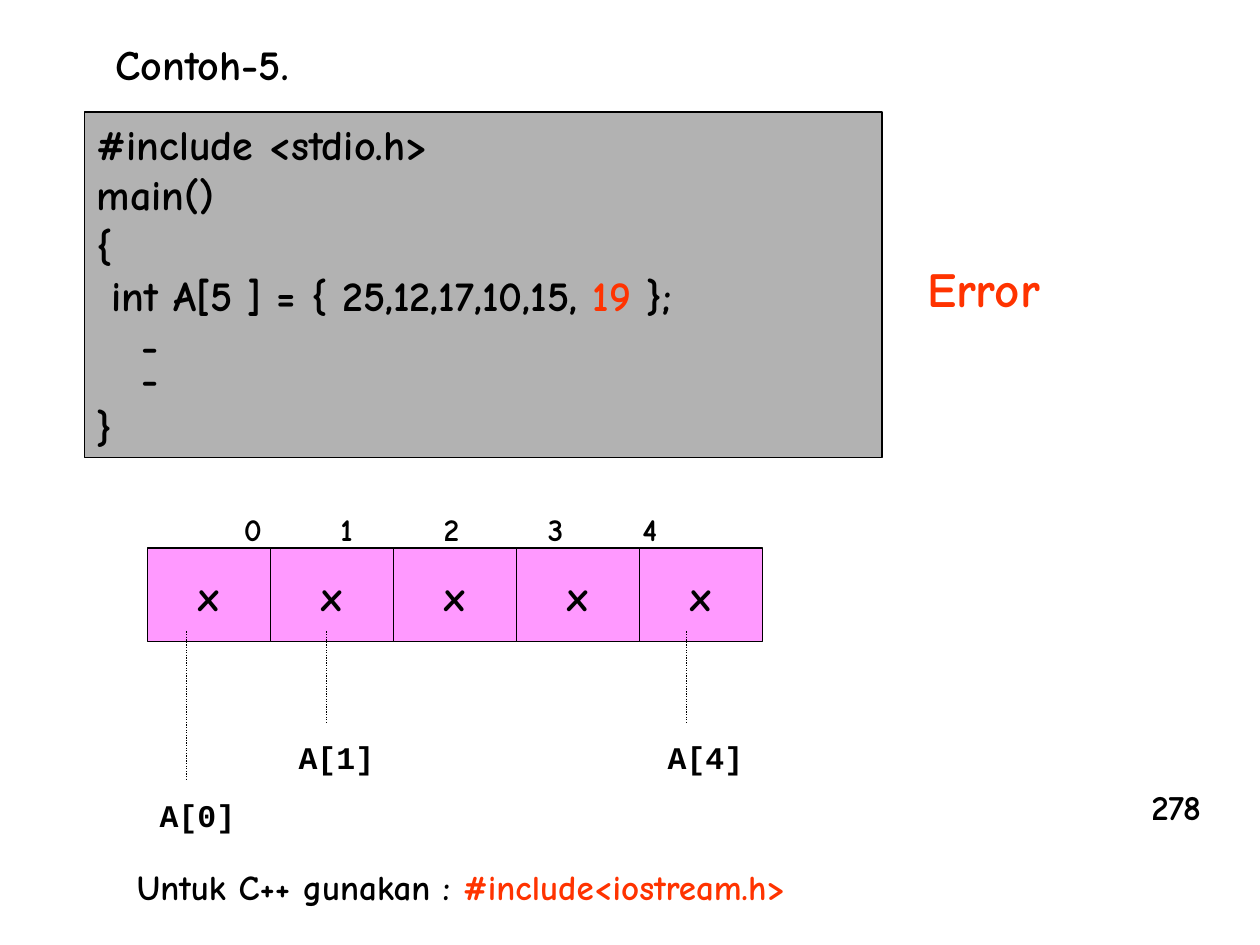
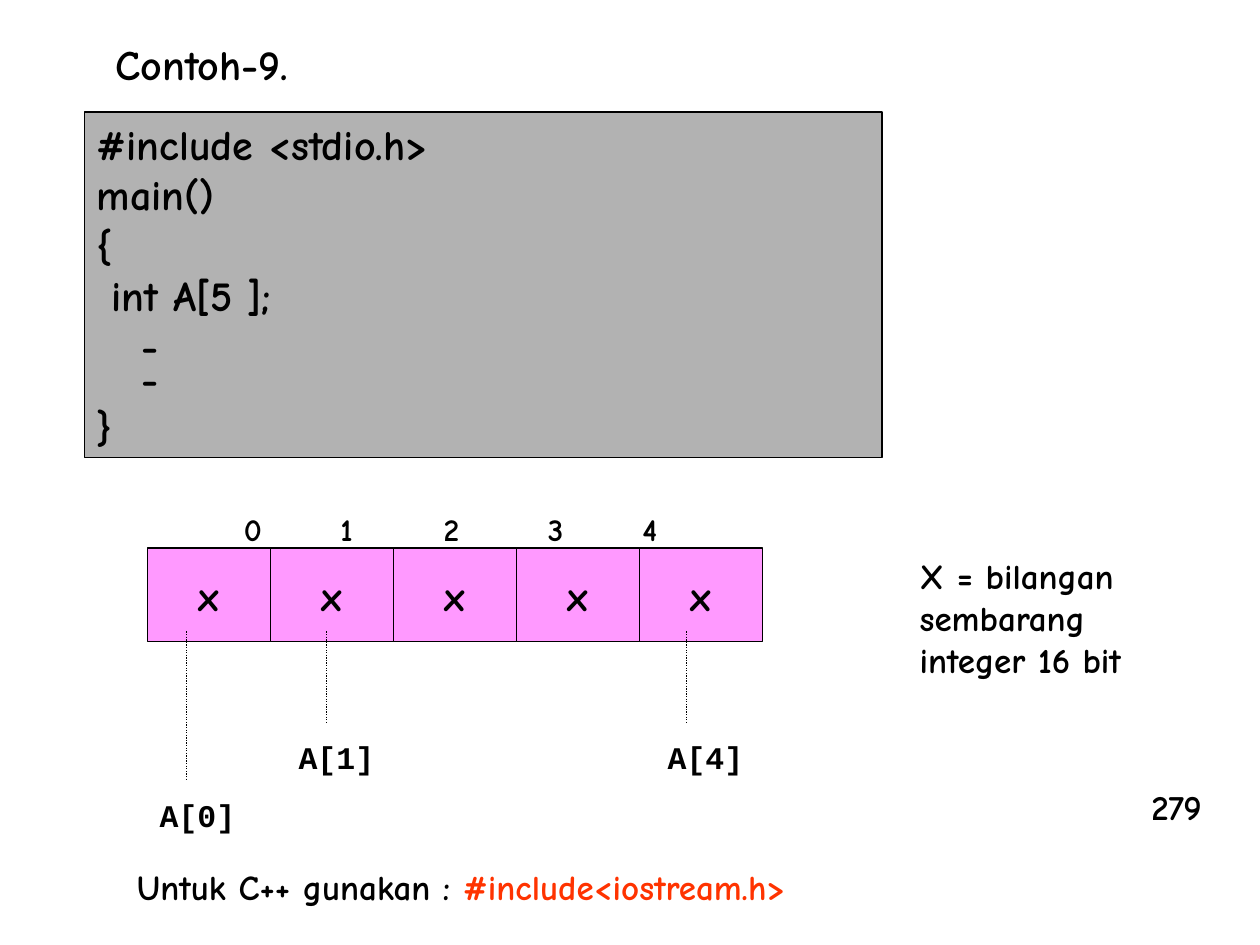
from dataclasses import dataclass

import pptx
import pptx.dml.color
import pptx.enum.dml
import pptx.enum.shapes
import pptx.enum.text
import pptx.oxml
import pptx.oxml.ns
import pptx.util

Cm, Pt = pptx.util.Cm, pptx.util.Pt
ALIGN = pptx.enum.text.PP_ALIGN
ANCHOR = pptx.enum.text.MSO_ANCHOR
AUTO_SIZE = pptx.enum.text.MSO_AUTO_SIZE


@dataclass(frozen=True)
class Theme:
    ink: str = "000000"
    accent: str = "FF3300"
    code_fill: str = "B2B2B2"
    cell_fill: str = "FF99FF"
    font: str = "Comic Neue"
    mono: str = "Courier New"
    line: float = 0.75
    small: int = 18
    note: int = 20
    main: int = 24
    alert: int = 28


T = Theme()

# Array drawing, in cm
CELL_LEFT, CELL_TOP, CELL_W, CELL_H = 2.97, 11.05, 2.48, 1.88
INDEX_TABS = [0.38, 2.27, 4.38, 6.48, 8.38]
LEADER_TOP = 12.73
# Element label: leader x, leader end, label left, label top
ELEMENTS = {
    "A[0]": (3.76, 15.70, 2.97, 15.93),
    "A[1]": (6.58, 14.58, 5.77, 14.76),
    "A[4]": (13.84, 14.58, 13.21, 14.76),
}


def rgb(value):
    return pptx.dml.color.RGBColor.from_string(value)


def place(sp, left, top, width, height):
    sp.left, sp.top, sp.width, sp.height = map(Cm, (left, top, width, height))


def write(sp, lines, size, font=T.font, color=T.ink, align=ALIGN.LEFT,
          anchor=ANCHOR.TOP, wrap=False, grow=True):
    """Each line is a string or a list of (text, colour) runs."""
    tf = sp.text_frame
    tf.word_wrap = wrap
    tf.auto_size = AUTO_SIZE.SHAPE_TO_FIT_TEXT if grow else AUTO_SIZE.NONE
    tf.vertical_anchor = anchor
    for i, line in enumerate(lines):
        p = tf.paragraphs[0] if i == 0 else tf.add_paragraph()
        p.alignment = align
        for text, run_color in [(line, color)] if isinstance(line, str) else line:
            r = p.add_run()
            r.text = text
            r.font.name, r.font.size, r.font.bold = font, Pt(size), True
            r.font.color.rgb = rgb(run_color)
    return tf


def add_text(slide, box, lines, size, **style):
    sp = slide.shapes.add_textbox(*map(Cm, box))
    return write(sp, lines, size, **style)


def add_box(slide, box, fill):
    sp = slide.shapes.add_shape(
        pptx.enum.shapes.MSO_SHAPE.RECTANGLE, *map(Cm, box))
    sp.shadow.inherit = False
    sp.fill.solid()
    sp.fill.fore_color.rgb = rgb(fill)
    sp.line.color.rgb = rgb(T.ink)
    sp.line.width = Pt(T.line)
    return sp


def add_leader(slide, x, bottom):
    line = slide.shapes.add_connector(
        pptx.enum.shapes.MSO_CONNECTOR.STRAIGHT,
        Cm(x), Cm(LEADER_TOP), Cm(x), Cm(bottom))
    line.line.color.rgb = rgb(T.ink)
    line.line.width = Pt(T.line)
    line.line.dash_style = pptx.enum.dml.MSO_LINE.ROUND_DOT
    pptx.oxml.ns.qn("a:effectLst")
    line._element.spPr.append(pptx.oxml.parse_xml(
        f'<a:effectLst {pptx.oxml.ns.nsdecls("a")}/>'))


def add_code(slide, declaration):
    sp = add_box(slide, (1.70, 2.26, 16.08, 6.96), T.code_fill)
    lines = ["#include <stdio.h>", "main()", "{", declaration,
             "   -", "   -", "}"]
    tf = write(sp, lines, T.main, wrap=True)
    tf.paragraphs[5].line_spacing = 0.6


def add_index_row(slide):
    text = "".join(f"\t{i}" for i in range(len(INDEX_TABS)))
    tf = add_text(slide, (4.47, 10.16, 9.4, 1.02), [text], T.small, wrap=True)
    stops = "".join(f'<a:tab pos="{Cm(x)}" algn="ctr"/>' for x in INDEX_TABS)
    tf.paragraphs[0]._p.get_or_add_pPr().append(pptx.oxml.parse_xml(
        f'<a:tabLst {pptx.oxml.ns.nsdecls("a")}>{stops}</a:tabLst>'))


def add_array(slide):
    add_index_row(slide)
    for i in range(len(INDEX_TABS)):
        cell = (CELL_LEFT + i * CELL_W, CELL_TOP, CELL_W, CELL_H)
        write(add_box(slide, cell, T.cell_fill), ["x"], T.main,
              align=ALIGN.CENTER, anchor=ANCHOR.MIDDLE, grow=False)
    for name, (x, bottom, left, top) in ELEMENTS.items():
        add_leader(slide, x, bottom)
        add_text(slide, (left, top, 2.03, 1.02), [name], T.small, font=T.mono)


def add_example(prs, title, declaration, number):
    slide = prs.slides.add_slide(prs.slide_layouts.get_by_name("Title Only"))
    place(slide.shapes.title, 2.07, 0.64, 4.02, 1.27)
    write(slide.shapes.title, [title], T.main)
    add_code(slide, declaration)
    add_array(slide)
    # Footer note and page number
    add_text(slide, (2.51, 17.32, 13.61, 1.12),
             [[("Untuk C++ gunakan : ", T.ink),
               ("#include<iostream.h>", T.accent)]], T.note)
    add_text(slide, (22.96, 15.72, 1.53, 1.12), [number], T.note)
    return slide


def main():
    prs = pptx.Presentation()
    prs.slide_width, prs.slide_height = Cm(25.4), Cm(19.05)

    # Too many initial values
    slide = add_example(
        prs, "Contoh-5.",
        [(" int A[5 ] = { 25,12,17,10,15,", T.ink), (" 19 ", T.accent),
         ("};", T.ink)], "278")
    add_text(slide, (18.44, 5.08, 2.79, 1.45), ["Error"], T.alert,
             color=T.accent)

    # Array without initial values
    slide = add_example(prs, "Contoh-9.", " int A[5 ];", "279")
    add_text(slide, (18.29, 11.05, 4.67, 2.79),
             ["X = bilangan", "sembarang", "integer 16 bit"], T.note)

    prs.save("out.pptx")


if __name__ == "__main__":
    main()
